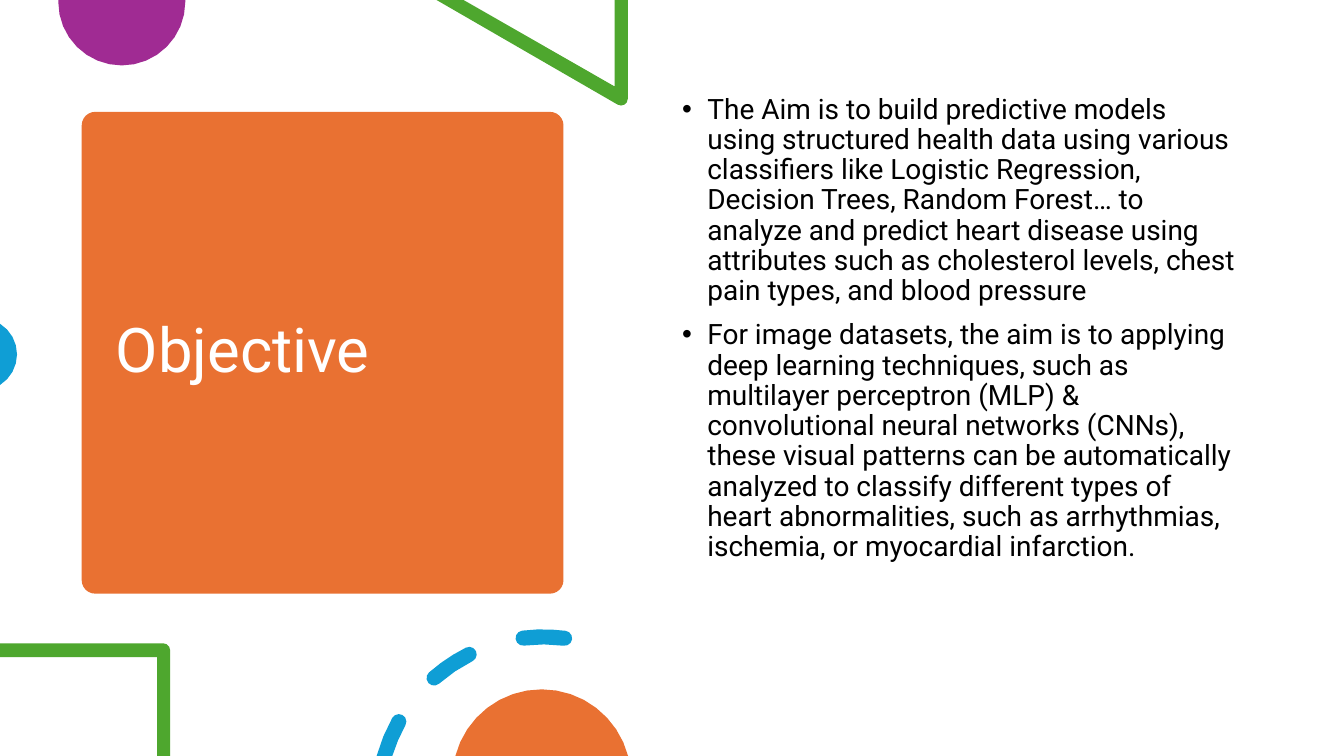
"""Build the Objective slide with its geometric decorations."""
from dataclasses import dataclass
from math import ceil, cos, radians, sin, sqrt

from lxml.etree import SubElement
from pptx import Presentation
from pptx.dml.color import RGBColor
from pptx.enum.shapes import MSO_SHAPE
from pptx.enum.text import MSO_ANCHOR
from pptx.oxml.ns import qn
from pptx.util import Cm, Pt

Point = tuple[float, float]
HEIGHT = 19.05
WIDTH = HEIGHT * 16 / 9
ORANGE, PURPLE, GREEN, BLUE = "E97132", "A02B93", "4EA72E", "0F9ED5"
WHITE, BLACK = "FFFFFF", "000000"
AIMS = [
    "The Aim is to build predictive models using structured health data using "
    "various classifiers like Logistic Regression, Decision Trees, Random Forest… "
    "to analyze and predict heart disease using attributes such as cholesterol "
    "levels, chest pain types, and blood pressure",
    "For image datasets, the aim is to applying deep learning techniques, such as "
    "multilayer perceptron (MLP) & convolutional neural networks (CNNs), these "
    "visual patterns can be automatically analyzed to classify different types of "
    "heart abnormalities, such as arrhythmias, ischemia, or myocardial infarction.",
]


@dataclass
class Outline:
    color: str
    contours: list[list[Point]]


@dataclass
class TextBlock:
    box: tuple[float, float, float, float]
    lines: list[str]
    size: int
    color: str
    anchor: MSO_ANCHOR
    bullets: bool = False


def rgb(value: str) -> RGBColor:
    return RGBColor.from_string(value)


def arc(x: float, y: float, radius: float, start: float, end: float) -> list[Point]:
    steps = ceil(abs(end - start) * sqrt(radius) / 15)
    angles = [radians(start + (end - start) * i / steps) for i in range(steps + 1)]
    return [(x + radius * cos(a), y + radius * sin(a)) for a in angles]


def dash(start: float, end: float, clipped: bool = False) -> list[Point]:
    x, y, radius, half = 13.69, 20.22, 4.17, 0.19

    def cap(angle: float, turn: float) -> list[Point]:
        a = radians(angle)
        return arc(x + radius * cos(a), y + radius * sin(a), half, turn, turn + 180)

    inner_start = start + 1.54 if clipped else start
    points = arc(x, y, radius + half, start, end) + cap(end, end)[1:-1]
    points += arc(x, y, radius - half, end, inner_start)
    return points if clipped else points + cap(start, start + 180)[1:-1]


def paint(sp, color: str) -> None:
    sp.shadow.inherit = False
    sp.fill.solid()
    sp.fill.fore_color.rgb = rgb(color)
    sp.line.fill.background()


def add_outline(slide, outline: Outline) -> None:
    first, *others = [[(Cm(x), Cm(y)) for x, y in c] for c in outline.contours]
    builder = slide.shapes.build_freeform(*first[0])
    builder.add_line_segments(first[1:])
    for contour in others:
        builder.move_to(*contour[0])
        builder.add_line_segments(contour[1:])
    paint(builder.convert_to_shape(), outline.color)


def add_text(slide, block: TextBlock) -> None:
    tf = slide.shapes.add_textbox(*map(Cm, block.box)).text_frame
    tf.word_wrap = True
    tf.vertical_anchor = block.anchor
    font_format = {"name": "Roboto", "size": Pt(block.size)}
    for i, line in enumerate(block.lines):
        p = tf.add_paragraph() if i else tf.paragraphs[0]
        if block.bullets:
            pPr = p._p.get_or_add_pPr()
            pPr.set("marL", str(Cm(0.635)))
            pPr.set("indent", str(-Cm(0.635)))
            SubElement(pPr, qn("a:buFont")).set("typeface", "Arial")
            SubElement(pPr, qn("a:buChar")).set("char", "•")
        p.line_spacing = 0.9
        if i:
            p.space_before = Pt(10)
        r = p.add_run()
        r.text = line
        for name, value in font_format.items():
            setattr(r.font, name, value)
        r.font.color.rgb = rgb(block.color)


OUTLINES = [
    Outline(PURPLE, [[(1.47, 0), (4.67, 0), *arc(3.07, 0.05, 1.6, 0, 180)]]),
    Outline(GREEN, [[(15.82, 0), (15.49, 0), (15.49, 2.18), (11.68, 0), (11, 0),
                     *arc(15.65, 2.49, 0.17, 120, 0)]]),
    Outline(BLUE, [arc(-0.48, 8.93, 0.91, -58, 58)]),
    Outline(GREEN, [[(0, 16.56), (0, 16.21), *arc(4.11, 16.39, 0.18, 270, 360),
                     (4.29, HEIGHT), (3.96, HEIGHT), (3.96, 16.56)]]),
    Outline(BLUE, [dash(195.6, 209.2, clipped=True), dash(228.7, 243.4),
                   dash(263, 277.4)]),
    Outline(ORANGE, [arc(13.65, 19.62, 2.25, 194.7, 345.3)]),
]
TEXTS = [
    TextBlock((2.67, 3.1, 10.95, 11.58), ["Objective"], 44, WHITE, MSO_ANCHOR.MIDDLE),
    TextBlock((16.94, 2.27, 14.53, 13.59), AIMS, 20, BLACK, MSO_ANCHOR.TOP, True),
]


def main() -> None:
    prs = Presentation()
    prs.slide_width, prs.slide_height = Cm(WIDTH), Cm(HEIGHT)
    slide = prs.slides.add_slide(prs.slide_layouts[6])
    sp = slide.shapes.add_shape(MSO_SHAPE.ROUNDED_RECTANGLE,
                                *map(Cm, (2.06, 2.82, 12.14, 12.14)))
    sp.adjustments[0] = 0.028
    paint(sp, ORANGE)
    for outline in OUTLINES:
        add_outline(slide, outline)
    for block in TEXTS:
        add_text(slide, block)
    prs.save("out.pptx")


if __name__ == "__main__":
    main()
